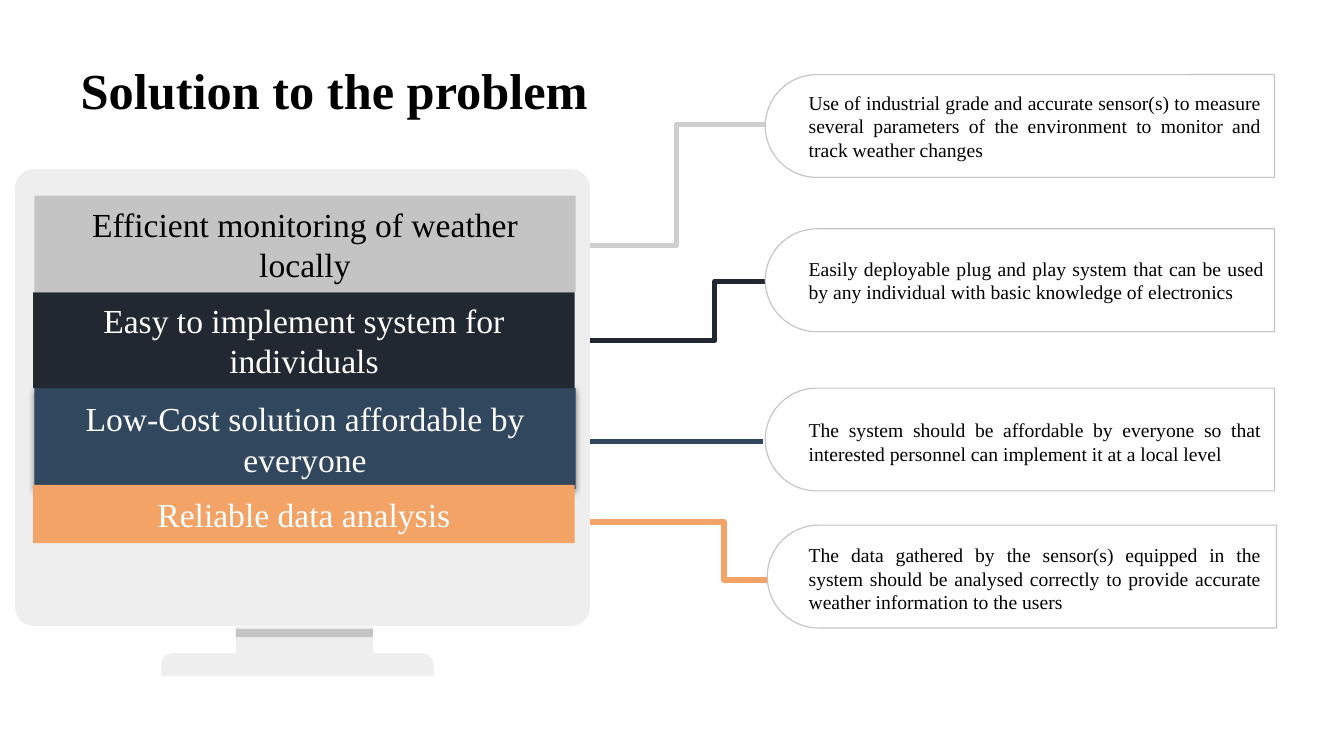
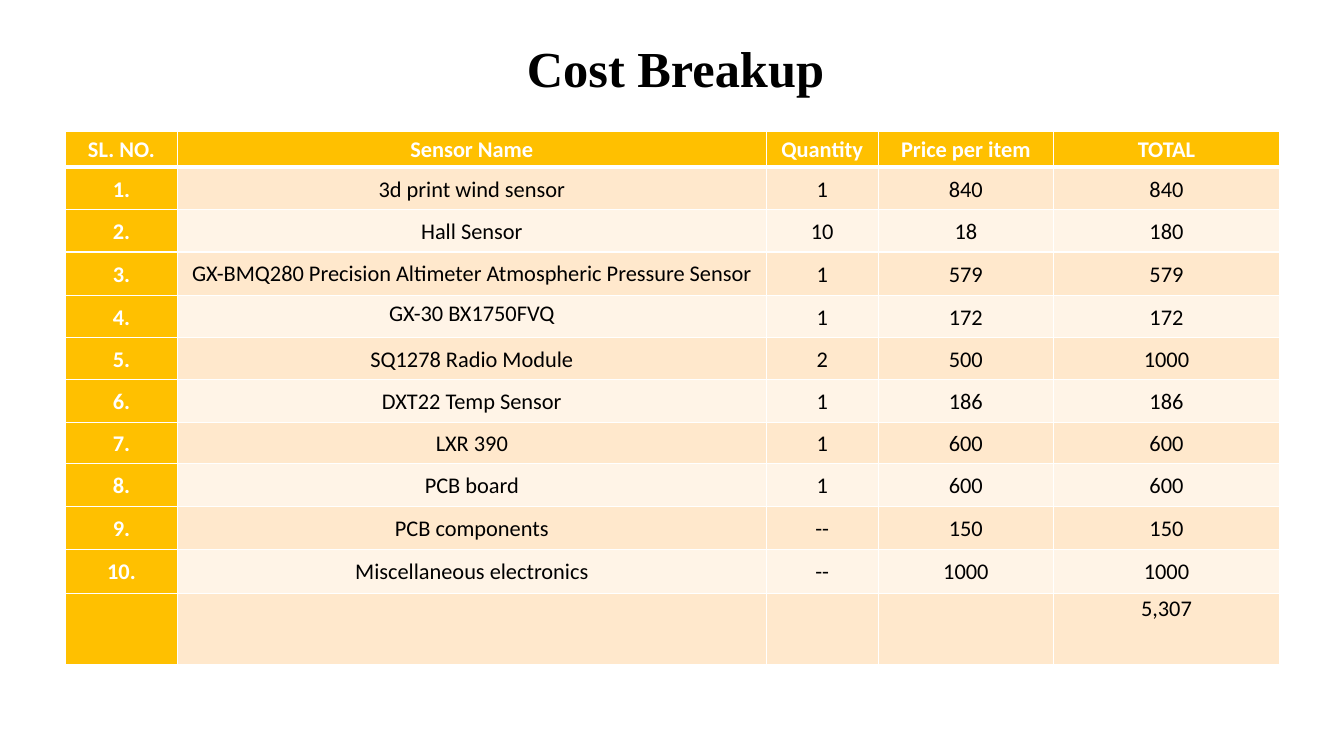
from lxml import etree
from pptx import Presentation
from pptx.dml.color import RGBColor
from pptx.enum.shapes import MSO_CONNECTOR as CONNECTOR, MSO_SHAPE as SHAPE
from pptx.enum.text import MSO_ANCHOR as ANCHOR, PP_ALIGN as ALIGN
from pptx.oxml import parse_xml
from pptx.oxml.ns import nsdecls, qn
from pptx.util import Inches, Pt

COLORS = {
    "black": "000000", "white": "FFFFFF", "monitor": "EEEEEE", "grey": "C4C4C4",
    "light grey": "CECECE", "navy": "222831", "blue": "30475E", "orange": "F2A365",
    "amber": "FFC000", "peach": "FFE8CC", "cream": "FFF4E7",
}
SERIF, SANS = "Times New Roman", "Calibri"
TITLE = {"size": Pt(36), "name": SERIF, "bold": True}
STRIP = {"size": Pt(24), "name": SERIF}
DESCRIPTION = {"size": Pt(14), "name": SERIF}
CELL = {"size": Pt(16), "name": SANS}


def add_box(slide, kind, left, top, width, height, fill=None, line=None):
    """Add a preset shape, or a text box when kind is None."""
    place = [Inches(value) for value in (left, top, width, height)]
    if kind is None:
        return slide.shapes.add_textbox(*place)
    shape = slide.shapes.add_shape(kind, *place)
    shape.shadow.inherit = False
    shape.fill.solid()
    shape.fill.fore_color.rgb = RGBColor.from_string(COLORS[fill])
    if line:
        shape.line.color.rgb = RGBColor.from_string(COLORS[line])
        shape.line.width = Pt(0.81)
    else:
        shape.line.fill.background()
    return shape


def write(frame, text, style, color="black", align=ALIGN.CENTER, inset=0.13):
    """Fill a text frame; inset None leaves a table cell's own margins."""
    if inset is not None:
        frame.word_wrap = True
        frame.vertical_anchor = ANCHOR.MIDDLE
        for side in ("left", "top", "right", "bottom"):
            setattr(frame, f"margin_{side}", Inches(inset))
    paragraph = frame.paragraphs[0]
    paragraph.alignment = align
    run = paragraph.add_run()
    run.text = text
    for name, value in style.items():
        setattr(run.font, name, value)
    run.font.color.rgb = RGBColor.from_string(COLORS[color])
    return paragraph


presentation = Presentation()
presentation.slide_width = Inches(13.33)
presentation.slide_height = Inches(7.5)
solution_slide, cost_slide = [
    presentation.slides.add_slide(presentation.slide_layouts[6]) for _ in range(2)
]
titles = [
    (solution_slide, "Solution to the problem", (0.67, 0.6, 6, 0.57), ALIGN.LEFT),
    (cost_slide, "Cost Breakup", (3.85, 0.33, 5.7, 0.68), ALIGN.CENTER),
]
for slide, text, place, align in titles:
    write(add_box(slide, None, *place).text_frame, text, TITLE, align=align)

# Links from the monitor: colour, start y, bend x, end x, end y, width
links = [
    ("light grey", 2.44, 6.71, 7.59, 1.24, 3.6),
    ("navy", 3.38, 7.09, 7.6, 2.79, 3.6),
    ("blue", 4.38, None, 7.57, 4.38, 3.6),
    ("orange", 5.18, 7.18, 7.71, 5.75, 4.3),
]
link_left = 5.85
for color, start, bend, right, end, width in links:
    kind = CONNECTOR.ELBOW if bend else CONNECTOR.STRAIGHT
    link = solution_slide.shapes.add_connector(
        kind, Inches(link_left), Inches(start), Inches(right), Inches(end))
    link.line.color.rgb = RGBColor.from_string(COLORS[color])
    link.line.width = Pt(width)
    properties = link._element.spPr
    etree.SubElement(properties, qn("a:effectLst"))
    if bend:
        ratio = round((bend - link_left) / (right - link_left) * 100000)
        guides = properties.find(qn("a:prstGeom")).get_or_add_avLst()
        etree.SubElement(guides, qn("a:gd"), name="adj1", fmla=f"val {ratio}")

# Monitor
screen = add_box(solution_slide, SHAPE.ROUNDED_RECTANGLE, 0.15, 1.68, 5.7, 4.53, "monitor")
screen.adjustments[0] = 0.04
add_box(solution_slide, SHAPE.RECTANGLE, 2.34, 6.22, 1.36, 0.29, "monitor")
base = add_box(solution_slide, SHAPE.ROUND_2_SAME_RECTANGLE, 1.6, 6.48, 2.7, 0.23, "monitor")
base.adjustments[0] = 0.5
base.adjustments[1] = 0
add_box(solution_slide, SHAPE.RECTANGLE, 2.34, 6.24, 1.36, 0.08, "grey")

strips = [
    ("Efficient monitoring of weather locally", 0.34, 1.94, 0.96, "grey", "black"),
    ("Low-Cost solution affordable by everyone", 0.34, 3.85, 1, "blue", "white"),
    ("Reliable data analysis", 0.33, 4.81, 0.58, "orange", "white"),
    ("Easy to implement system for individuals", 0.33, 2.9, 0.95, "navy", "white"),
]
for text, left, top, height, fill, color in strips:
    strip = add_box(solution_slide, SHAPE.RECTANGLE, left, top, 5.37, height, fill)
    write(strip.text_frame, text, STRIP, color)
    if fill == "blue":
        strip._element.spPr.find(qn("a:effectLst")).append(parse_xml(
            f'<a:outerShdw {nsdecls("a")} blurRad="{Pt(4.5)}" dist="{Pt(1.5)}" dir="5400000">'
            f'<a:srgbClr val="{COLORS["black"]}"><a:alpha val="50000"/></a:srgbClr></a:outerShdw>'))

# Cards: left, middle y, text middle y, text width, text
cards = [
    (7.59, 1.25, 1.25, 4.75, "Use of industrial grade and accurate sensor(s) to measure several "
     "parameters of the environment to monitor and track weather changes"),
    (7.59, 2.78, 2.78, 4.78, "Easily deployable plug and play system that can be used by any "
     "individual with basic knowledge of electronics"),
    (7.59, 4.36, 4.38, 4.75, "The system should be affordable by everyone so that interested "
     "personnel can implement it at a local level"),
    (7.61, 5.72, 5.74, 4.75, "The data gathered by the sensor(s) equipped in the system should be "
     "analysed correctly to provide accurate weather information to the users"),
]
card_width, card_height = 5.05, 1.02
for left, middle, text_middle, text_width, text in cards:
    # An upright shape, turned so that its round end points left
    card = add_box(solution_slide, SHAPE.ROUND_2_SAME_RECTANGLE,
                   left + (card_width - card_height) / 2, middle - card_width / 2,
                   card_height, card_width, "white", "grey")
    card.adjustments[0] = 0.5
    card.adjustments[1] = 0
    card.rotation = 270
    label = add_box(solution_slide, None, 7.89, text_middle - 0.41, text_width, 0.82)
    write(label.text_frame, text, DESCRIPTION, align=ALIGN.JUSTIFY)

# Cost table
items = [
    ("3d print wind sensor", "1", "840", "840"),
    ("Hall Sensor", "10", "18", "180"),
    ("GX-BMQ280 Precision Altimeter Atmospheric Pressure Sensor", "1", "579", "579"),
    ("GX-30 BX1750FVQ", "1", "172", "172"),
    ("SQ1278 Radio Module", "2", "500", "1000"),
    ("DXT22 Temp Sensor", "1", "186", "186"),
    ("LXR 390", "1", "600", "600"),
    ("PCB board", "1", "600", "600"),
    ("PCB components", "--", "150", "150"),
    ("Miscellaneous electronics", "--", "1000", "1000"),
]
rows = [("SL. NO.", "Sensor Name", "Quantity", "Price per item", "TOTAL")]
rows += [(f"{number}.", *item) for number, item in enumerate(items, 1)]
rows.append(("", "", "", "", "5,307"))
column_widths = [1.11, 5.84, 1.11, 1.74, 2.24]
row_heights = [0.36, 0.42, 0.42, 0.43, 0.42, 0.42, 0.42, 0.41, 0.43, 0.42, 0.44, 0.71]
table = cost_slide.shapes.add_table(
    len(rows), len(column_widths), Inches(0.65), Inches(1.3),
    Inches(sum(column_widths)), Inches(sum(row_heights))).table
for column, width in zip(table.columns, column_widths):
    column.width = Inches(width)
for row, height in zip(table.rows, row_heights):
    row.height = Inches(height)

cell_format = {"margin_left": Inches(0.05), "margin_right": Inches(0.05),
               "margin_top": 0, "margin_bottom": 0}
for row_index, texts in enumerate(rows):
    is_total = row_index == len(rows) - 1
    for column_index, text in enumerate(texts):
        cell = table.cell(row_index, column_index)
        for name, value in cell_format.items():
            setattr(cell, name, value)
        cell.vertical_anchor = ANCHOR.TOP if is_total else ANCHOR.MIDDLE
        is_heading = row_index == 0 or column_index == 0
        for side in "LRTB":
            heavy = (row_index, side) in ((0, "B"), (1, "T"))
            cell._tc.get_or_add_tcPr().append(parse_xml(
                f'<a:ln{side} {nsdecls("a")} w="{Pt(3 if heavy else 1)}"><a:solidFill>'
                f'<a:srgbClr val="{COLORS["white"]}"/></a:solidFill></a:ln{side}>'))
        fill = "amber" if is_heading else "peach" if row_index % 2 else "cream"
        cell.fill.solid()
        cell.fill.fore_color.rgb = RGBColor.from_string(COLORS[fill])
        if not text:
            continue
        paragraph = write(cell.text_frame, text, {**CELL, "bold": is_heading},
                          "white" if is_heading else "black", inset=None)
        paragraph.line_spacing, paragraph.space_after = 1.07, Pt(8)
        if text.startswith("GX-BMQ"):
            paragraph.line_spacing, paragraph.space_after = 1.0, Pt(0)
        elif text.startswith("GX-30"):
            paragraph.line_spacing, paragraph.space_after = Pt(15.3), Pt(5.8)

presentation.save("out.pptx")
